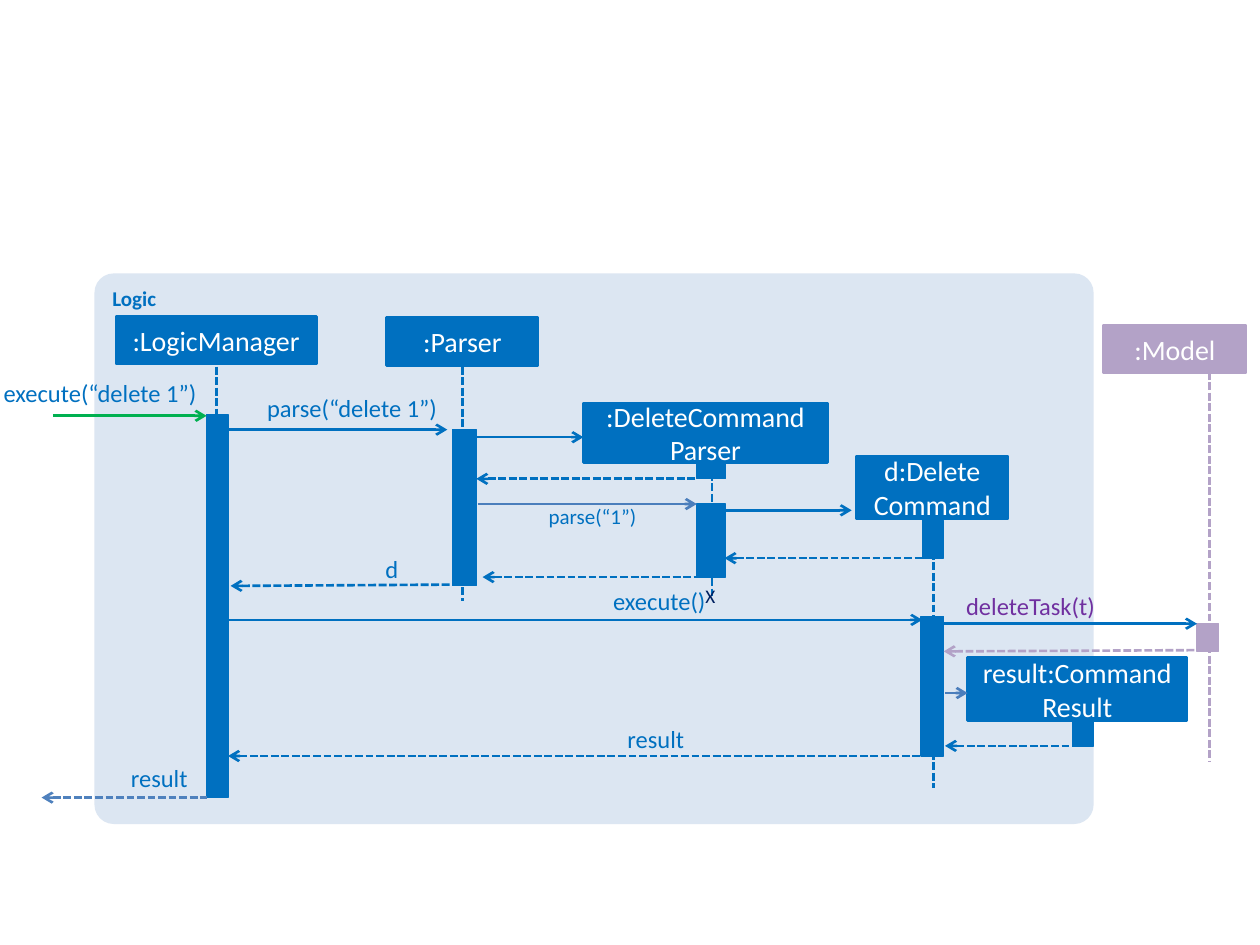
from lxml.etree import SubElement
from pptx import Presentation
from pptx.dml.color import RGBColor
from pptx.enum.dml import MSO_LINE
from pptx.enum.shapes import MSO_CONNECTOR, MSO_SHAPE
from pptx.enum.text import MSO_ANCHOR, MSO_AUTO_SIZE, PP_ALIGN
from pptx.oxml.ns import qn
from pptx.util import Inches, Pt

BLUE, LILAC, STEEL, GREEN = "0070C0", "B3A2C7", "4B7EBC", "00B050"

PARTICIPANTS = [
    ([":LogicManager"], 0.92, 2.51, 1.59, 0.38, BLUE),
    ([":Parser"], 3.07, 2.52, 1.2, 0.38, BLUE),
    ([":DeleteCommand", "Parser"], 4.63, 3.2, 1.94, 0.47, BLUE),
    (["d:Delete\vCommand"], 6.8, 3.62, 1.2, 0.5, BLUE),
    (["result:Command Result"], 7.68, 5.22, 1.74, 0.5, BLUE),
    ([":Model"], 8.76, 2.58, 1.13, 0.38, LILAC),
]
LIFELINES = [
    (1.72, 2.91, 5.75, BLUE),
    (3.67, 2.91, 4.77, BLUE),
    (5.65, 3.67, 4.75, BLUE),
    (7.41, 4.13, 6.25, BLUE),
    (9.6, 2.95, 6.05, LILAC),
]
ACTIVATIONS = [
    (1.64, 3.29, 0.17, 3.04, BLUE),
    (3.59, 3.41, 0.19, 1.24, BLUE),
    (5.53, 3.67, 0.23, 0.13, BLUE),
    (5.53, 4, 0.23, 0.58, BLUE),
    (7.32, 4.13, 0.17, 0.3, BLUE),
    (7.31, 4.89, 0.18, 1.11, BLUE),
    (8.51, 5.73, 0.17, 0.19, BLUE),
    (9.5, 4.95, 0.17, 0.22, LILAC),
]
CALLS = [
    (0.42, 1.64, 3.3, GREEN),
    (1.81, 3.55, 3.41, BLUE),
    (3.73, 4.63, 3.47, BLUE),
    (3.79, 5.53, 4, STEEL),
    (5.75, 6.76, 4.05, BLUE),
    (1.81, 7.32, 4.92, BLUE),
    (7.49, 9.5, 4.95, BLUE),
    (7.5, 7.68, 5.5, STEEL),
]
RETURNS = [
    (3.78, 5.53, 3.8, 3.8, BLUE),
    (5.75, 7.38, 4.43, 4.43, BLUE),
    (3.83, 5.65, 4.58, 4.58, BLUE),
    (1.83, 3.57, 4.65, 4.64, BLUE),
    (7.49, 9.5, 5.17, 5.16, LILAC),
    (7.5, 8.56, 5.92, 5.92, BLUE),
    (1.81, 7.33, 6, 6, BLUE),
    (0.33, 1.64, 6.33, 6.33, "4F81BD"),
]
LABELS = [
    ("execute(“delete 1”)", 0, 3, 1.56, 14, BLUE),
    ("parse(“delete 1”)", 1.91, 3.12, 1.56, 14, BLUE),
    ("parse(“1”)", 4.21, 4, 0.84, 12, BLUE),
    ("d", 2.92, 4.4, 0.24, 14, BLUE),
    ("execute()", 4.66, 4.65, 0.94, 14, BLUE),
    ("deleteTask(t)", 7.13, 4.69, 1.56, 14, "7030A0"),
    ("result", 4.75, 5.75, 0.68, 14, BLUE),
    ("result", 0.66, 6.06, 0.83, 14, BLUE),
]


def paint(colour_format, colour):
    """Set a fill's or font's colour from a hex string."""
    colour_format.rgb = RGBColor.from_string(colour)


def add_span(para, text, size, colour, bold=False):
    """Add one formatted run to a paragraph."""
    span = para.add_run()
    span.text = text
    span.font.name = "Calibri"
    span.font.size = Pt(size)
    span.font.bold = bold
    paint(span.font.color, colour)


def add_block(page, left, top, width, height, colour, outline=0, kind=MSO_SHAPE.RECTANGLE):
    """Add a filled shape, outlined in its own colour when a width is given."""
    box = page.shapes.add_shape(kind, Inches(left), Inches(top), Inches(width), Inches(height))
    box.shadow.inherit = False
    box.fill.solid()
    paint(box.fill.fore_color, colour)
    if outline:
        box.line.width = Pt(outline)
        paint(box.line.color, colour)
    else:
        box.line.fill.background()
    return box


def add_panel(page):
    """Add the rounded panel behind the Logic component."""
    panel = add_block(page, 0.75, 2.17, 7.93, 4.37, "DCE6F2", kind=MSO_SHAPE.ROUNDED_RECTANGLE)
    panel.adjustments[0] = 0.035
    panel.text_frame.vertical_anchor = MSO_ANCHOR.TOP
    para = panel.text_frame.paragraphs[0]
    para.alignment = PP_ALIGN.LEFT
    add_span(para, "Logic", 12, BLUE, bold=True)


def add_participant(page, names, left, top, width, height, colour):
    """Add a named participant box, one paragraph per name part."""
    frame = add_block(page, left, top, width, height, colour, 1.5).text_frame
    frame.word_wrap = True
    frame.vertical_anchor = MSO_ANCHOR.MIDDLE
    for index, name in enumerate(names):
        para = frame.add_paragraph() if index else frame.paragraphs[0]
        para.alignment = PP_ALIGN.CENTER
        for number, part in enumerate(name.split("\v")):
            if number:
                para.add_line_break()
            add_span(para, part, 16, "FFFFFF")


def add_line(page, start, end, colour, dashed=False, arrow=None):
    """Add a line; arrow is headEnd, tailEnd or None."""
    points = [Inches(value) for value in (*start, *end)]
    line = page.shapes.add_connector(MSO_CONNECTOR.STRAIGHT, *points)
    line.line.width = Pt(1.5)
    paint(line.line.color, colour)
    if dashed:
        line.line.dash_style = MSO_LINE.SQUARE_DOT
    if arrow:
        SubElement(line.get_or_add_ln(), qn(f"a:{arrow}"), type="arrow")
    SubElement(line._element.spPr, qn("a:effectLst"))


def add_text(page, text, left, top, width, height, size, colour):
    """Add a one-line text box and return its frame."""
    box = page.shapes.add_textbox(Inches(left), Inches(top), Inches(width), Inches(height))
    box.text_frame.auto_size = MSO_AUTO_SIZE.SHAPE_TO_FIT_TEXT
    add_span(box.text_frame.paragraphs[0], text, size, colour)
    return box.text_frame


def add_label(page, text, left, top, width, size, colour):
    """Add a right-aligned message label without insets."""
    frame = add_text(page, text, left, top, width, 0.24 if size == 14 else 0.2, size, colour)
    frame.word_wrap = True
    frame.margin_left = frame.margin_right = frame.margin_top = frame.margin_bottom = 0
    frame.paragraphs[0].alignment = PP_ALIGN.RIGHT


def main():
    """Build the delete-command sequence diagram."""
    deck = Presentation()
    deck.slide_width, deck.slide_height = Inches(10), Inches(7.5)
    page = deck.slides.add_slide(deck.slide_layouts[6])
    add_panel(page)
    for participant in PARTICIPANTS:
        add_participant(page, *participant)
    for x, top, bottom, colour in LIFELINES:
        add_line(page, (x, top), (x, bottom), colour, dashed=True)
    for left, top, width, height, colour in ACTIVATIONS:
        add_block(page, left, top, width, height, colour, 0.75)
    for left, right, y, colour in CALLS:
        add_line(page, (left, y), (right, y), colour, arrow="tailEnd")
    for left, right, left_y, right_y, colour in RETURNS:
        add_line(page, (left, left_y), (right, right_y), colour, dashed=True, arrow="headEnd")
    for label in LABELS:
        add_label(page, *label)
    add_text(page, "X", 5.5, 4.59, 0.28, 0.29, 11, "002060").word_wrap = False
    deck.save("out.pptx")


main()
